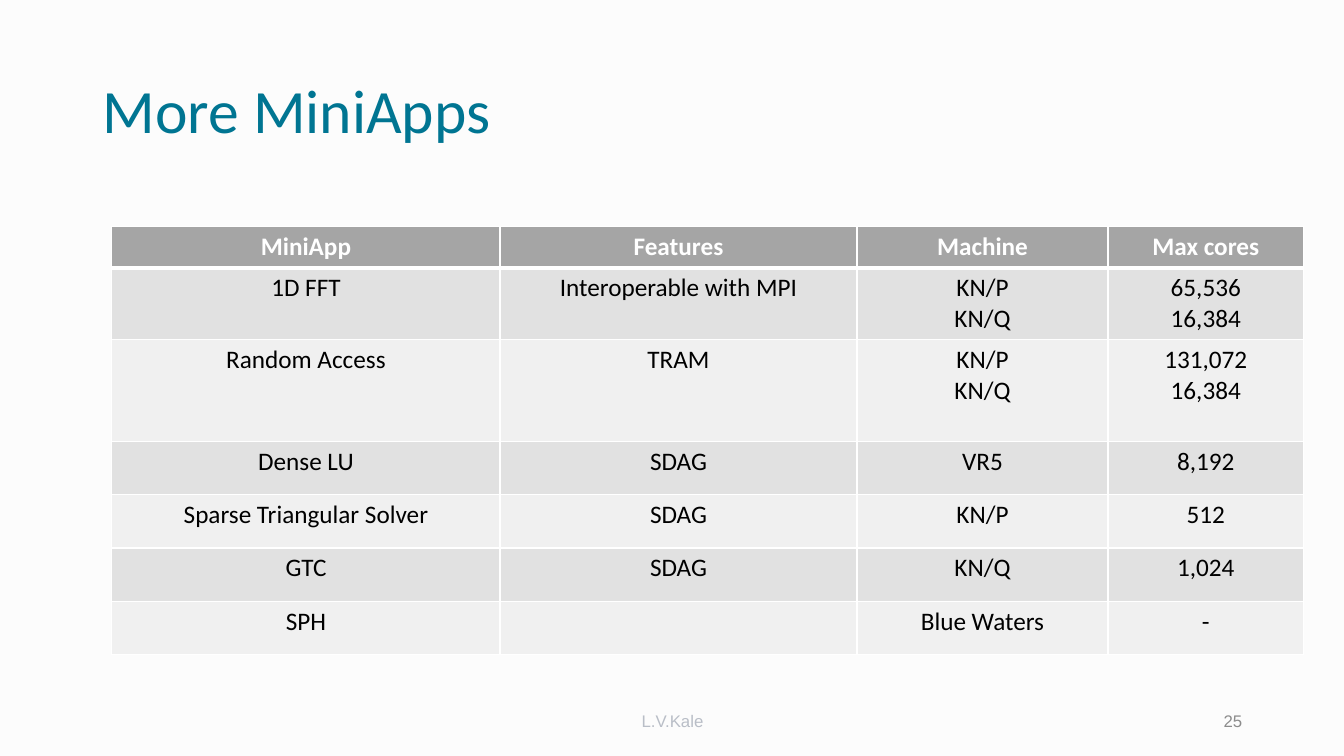
"""Build the "More MiniApps" table slide."""
import pptx
import pptx.dml.color
import pptx.enum.text
import pptx.oxml
import pptx.oxml.ns
import pptx.util

Inches = pptx.util.Inches
ALIGN = pptx.enum.text.PP_ALIGN
MIDDLE = pptx.enum.text.MSO_ANCHOR.MIDDLE


def rgb(value):
    return pptx.dml.color.RGBColor.from_string(value)


def write(tf, text, size=18, font="Calibri", color="000000", bold=False,
          align=ALIGN.CENTER, spacing=1.0):
    tf.word_wrap = True
    for i, line in enumerate(text.split("\n")):
        p = tf.add_paragraph() if i else tf.paragraphs[0]
        p.alignment = align
        p.line_spacing = spacing
        r = p.add_run()
        r.text = line
        r.font.size = pptx.util.Pt(size)
        r.font.name = font
        r.font.bold = bold
        r.font.color.rgb = rgb(color)


prs = pptx.Presentation()
prs.slide_width, prs.slide_height = Inches(13.33), Inches(7.5)
slide = prs.slides.add_slide(prs.slide_layouts[6])
slide.background.fill.solid()
slide.background.fill.fore_color.rgb = rgb("FCFCFC")

rows = [
    (0.4, "MiniApp", "Features", "Machine", "Max cores"),
    (0.71, "1D FFT", "Interoperable with MPI", "KN/P\nKN/Q", "65,536\n16,384"),
    (1.01, "Random Access", "TRAM", "KN/P\nKN/Q", "131,072\n16,384"),
    (0.53, "Dense LU", "SDAG", "VR5", "8,192"),
    (0.53, "Sparse Triangular Solver", "SDAG", "KN/P", "512"),
    (0.53, "GTC", "SDAG", "KN/Q", "1,024"),
    (0.53, "SPH", "", "Blue Waters", "-"),
]
widths = [3.85, 3.54, 2.49, 1.94]
table = slide.shapes.add_table(len(rows), len(widths), Inches(1.11), Inches(2.25),
                               Inches(sum(widths)), Inches(4.24)).table
table.first_row = table.horz_banding = False
for column, width in zip(table.columns, widths):
    column.width = Inches(width)

for i, (height, *texts) in enumerate(rows):
    table.rows[i].height = Inches(height)
    header = i == 0
    fill = "A5A5A5" if header else ("E1E1E1" if i % 2 else "F0F0F0")
    for j, text in enumerate(texts):
        cell = table.cell(i, j)
        cell.margin_left = cell.margin_right = Inches(0.13)
        cell.margin_top = cell.margin_bottom = Inches(0.05)
        tcPr = cell._tc.get_or_add_tcPr()
        for side in "LRTB":
            thick = (i, side) in ((0, "B"), (1, "T"))
            tcPr.append(pptx.oxml.parse_xml(
                f'<a:ln{side} {pptx.oxml.ns.nsdecls("a")} w="{pptx.util.Pt(3 if thick else 1)}">'
                f'<a:solidFill><a:srgbClr val="FFFFFF"/></a:solidFill></a:ln{side}>'))
        cell.fill.solid()
        cell.fill.fore_color.rgb = rgb(fill)
        if text:
            write(cell.text_frame, text, bold=header,
                  color="FFFFFF" if header else "000000")

labels = [
    ((0.92, 0.4, 11.5, 1.45), "More MiniApps",
     dict(size=44, color="007592", align=ALIGN.LEFT, spacing=0.9)),
    ((4.42, 6.95, 4.5, 0.4), "L.V.Kale", dict(size=12, font="Arial", color="B9BEC7")),
    ((9.42, 6.95, 3, 0.4), "25",
     dict(size=12, font="Arial", color="8C8C8C", align=ALIGN.RIGHT)),
]
for box, text, style in labels:
    tf = slide.shapes.add_textbox(*map(Inches, box)).text_frame
    tf.vertical_anchor = MIDDLE
    write(tf, text, **style)

prs.save("out.pptx")
